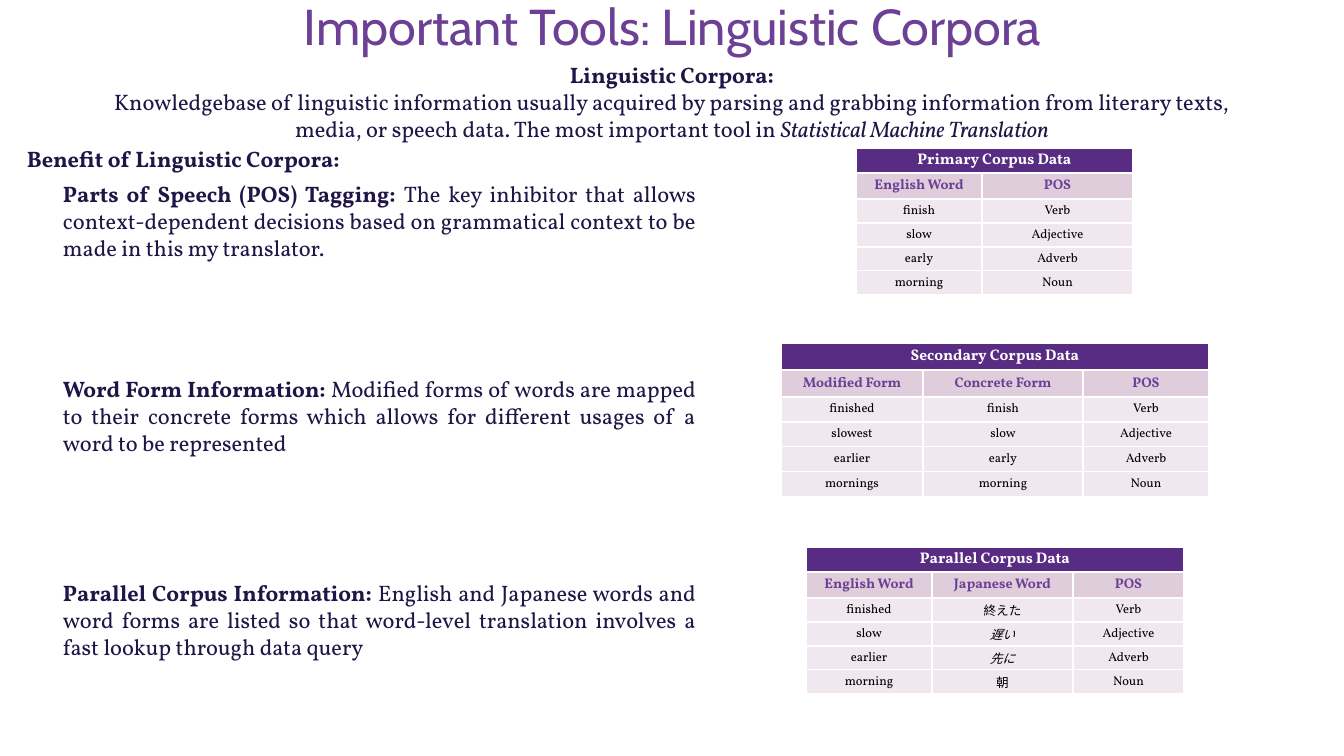
"""Build the slide on linguistic corpora: a title, explanations and three corpus tables."""
from lxml import etree
from pptx import Presentation
from pptx import util as u
from pptx.dml.color import RGBColor
from pptx.enum import text
from pptx.oxml import ns

PX = 914400 / 100.8
COLORS = dict(title="6C4095", ink="201546", header="582C83", subheader="DFCDDC",
              cell="F0E8EE", black="000000", white="FFFFFF")
FONT, JP_FONT = "Vollkorn", "Noto Sans CJK JP"
ALIGN = text.PP_ALIGN


def px(*values):
    """Turn px lengths into EMU."""
    return [u.Emu(round(v * PX)) for v in values]


def add_run(p, content, size=16, color="ink", font=FONT, bold=False, italic=False):
    """Add a formatted run to a paragraph."""
    r = p.add_run()
    r.text = content
    r.font.size, r.font.bold, r.font.italic = u.Pt(size), bold, italic
    r.font.color.rgb = RGBColor.from_string(COLORS[color])
    r.font.name = font
    etree.SubElement(r.font._element, ns.qn("a:ea"), typeface=font)


prs = Presentation()
prs.slide_width, prs.slide_height = px(1344, 756)
s = prs.slides.add_slide(prs.slide_layouts[5])

title = s.shapes.title
title.left, title.top, title.width, title.height = px(93, 4, 1159, 51)
tf = title.text_frame
tf.auto_size = text.MSO_AUTO_SIZE.NONE
tf.vertical_anchor = text.MSO_ANCHOR.MIDDLE
p = tf.paragraphs[0]
p.alignment, p.line_spacing = ALIGN.CENTER, 0.9
add_run(p, "Important Tools: Linguistic Corpora", size=36, color="title", font="Cabin")

BOLD, ITALIC = dict(bold=True), dict(italic=True)
text_boxes = [
    ((75, 56, 1194, 92), ALIGN.CENTER, [
        [("Linguistic Corpora:", BOLD)],
        [("Knowledgebase of linguistic information usually acquired by parsing and grabbing "
          "information from literary texts, media, or speech data. The most important tool in ", {}),
         ("Statistical Machine Translation", ITALIC)]]),
    ((17, 140, 599, 37), ALIGN.LEFT, [[("Benefit of Linguistic Corpora:", BOLD)]]),
]
benefits = [
    (175, "Parts of Speech (POS) Tagging: ",
     "The key inhibitor that allows context-dependent decisions based on grammatical "
     "context to be made in this my translator."),
    (370, "Word Form Information: ",
     "Modified forms of words are mapped to their concrete forms which allows for "
     "different usages of a word to be represented"),
    (574, "Parallel Corpus Information: ",
     "English and Japanese words and word forms are listed so that word-level translation "
     "involves a fast lookup through data query"),
]
for top, label, detail in benefits:
    text_boxes.append(((53, top, 653, 92), ALIGN.JUSTIFY, [[(label, BOLD), (detail, {})]]))

for box, align, paragraphs in text_boxes:
    tf = s.shapes.add_textbox(*px(*box)).text_frame
    tf.word_wrap = True
    for i, runs in enumerate(paragraphs):
        p = tf.add_paragraph() if i else tf.paragraphs[0]
        p.alignment = align
        for content, fmt in runs:
            add_run(p, content, **fmt)

POS = ["Verb", "Adjective", "Adverb", "Noun"]
tables = [
    ("Primary Corpus Data", (856, 147), [126, 151], [26, 26] + [24] * 4, 3, {
        "English Word": ["finish", "slow", "early", "morning"],
        "POS": POS}),
    ("Secondary Corpus Data", (781, 342), [142, 160, 126], [28, 27] + [25] * 4, 4, {
        "Modified Form": ["finished", "slowest", "earlier", "mornings"],
        "Concrete Form": ["finish", "slow", "early", "morning"],
        "POS": POS}),
    ("Parallel Corpus Data", (806, 546), [126, 141, 111], [26, 26] + [24] * 4, 3, {
        "English Word": ["finished", "slow", "earlier", "morning"],
        "Japanese Word": ["終えた", "遅い", "先に", "朝"],
        "POS": POS}),
]
HEADER = dict(size=11, color="white", bold=True)
SUBHEADER = dict(size=10, color="title", bold=True)
CELL = dict(size=9, color="black")

for name, origin, widths, heights, pad, columns in tables:
    size = sum(widths), sum(heights)
    table = s.shapes.add_table(len(heights), len(widths), *px(*origin, *size)).table
    table.first_row = table.horz_banding = False
    for col, width in zip(table.columns, px(*widths)):
        col.width = width
    for row, height in zip(table.rows, px(*heights)):
        row.height = height
    table.cell(0, 0).merge(table.cell(0, len(widths) - 1))
    for c, (heading, words) in enumerate(columns.items()):
        for r, content in enumerate([name if c == 0 else "", heading, *words]):
            cell = table.cell(r, c)
            fill, fmt = [("header", HEADER), ("subheader", SUBHEADER), ("cell", CELL)][min(r, 2)]
            side = 10 if r < 2 else 5
            cell.margin_left, cell.margin_right = px(side, side)
            cell.margin_top, cell.margin_bottom = px(pad, pad)
            cell.vertical_anchor = text.MSO_ANCHOR.MIDDLE
            tcPr = cell._tc.get_or_add_tcPr()
            for edge in "LRTB":
                points = 3 if r == 0 and edge == "T" else 1
                ln = etree.SubElement(tcPr, ns.qn(f"a:ln{edge}"), w=str(u.Pt(points)))
                solid = etree.SubElement(ln, ns.qn("a:solidFill"))
                etree.SubElement(solid, ns.qn("a:srgbClr"), val=COLORS["white"])
            cell.fill.solid()
            cell.fill.fore_color.rgb = RGBColor.from_string(COLORS[fill])
            if content:
                p = cell.text_frame.paragraphs[0]
                p.alignment = ALIGN.CENTER
                japanese = heading == "Japanese Word" and r > 1
                add_run(p, content, font=JP_FONT if japanese else FONT,
                        italic=content in ("遅い", "先に"), **fmt)

prs.save("out.pptx")
